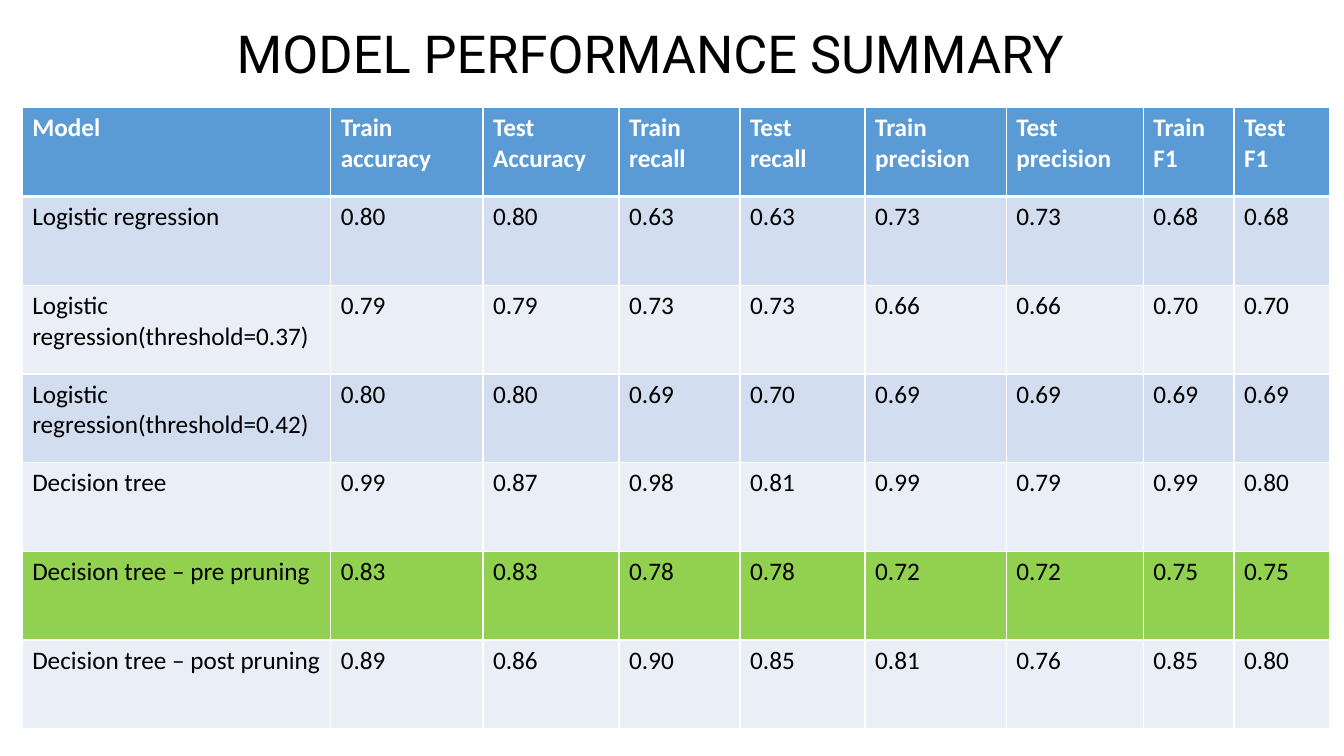
import pptx
import pptx.dml.color
import pptx.enum.text
import pptx.oxml
import pptx.oxml.ns
import pptx.util
from pptx.util import Inches

HEADER_FILL = "5B9BD5"
BAND_FILLS = ["D2DEEF", "EAEFF7"]
BEST_FILL = "92D050"
BEST_MODEL = "Decision tree – pre pruning"

HEADINGS = ["Model", "Train\naccuracy", "Test\nAccuracy", "Train\nrecall", "Test\nrecall",
            "Train\nprecision", "Test\nprecision", "Train\nF1", "Test\nF1"]
RESULTS = [
    ["Logistic regression", 0.80, 0.80, 0.63, 0.63, 0.73, 0.73, 0.68, 0.68],
    ["Logistic regression(threshold=0.37)", 0.79, 0.79, 0.73, 0.73, 0.66, 0.66, 0.70, 0.70],
    ["Logistic regression(threshold=0.42)", 0.80, 0.80, 0.69, 0.70, 0.69, 0.69, 0.69, 0.69],
    ["Decision tree", 0.99, 0.87, 0.98, 0.81, 0.99, 0.79, 0.99, 0.80],
    [BEST_MODEL, 0.83, 0.83, 0.78, 0.78, 0.72, 0.72, 0.75, 0.75],
    ["Decision tree – post pruning", 0.89, 0.86, 0.90, 0.85, 0.81, 0.76, 0.85, 0.80],
]
COLUMN_WIDTHS = [3.06, 1.51, 1.35, 1.2, 1.24, 1.4, 1.36, 0.9, 0.95]
ROW_HEIGHT = 0.88


def color(value):
    """Return the colour for a hex string."""
    return pptx.dml.color.RGBColor.from_string(value)


def write(frame, text, font="Calibri", size=18, fill="000000", bold=False, spacing=1.0):
    """Fill a text frame, one paragraph for each line of text."""
    frame.text = text
    for para in frame.paragraphs:
        para.line_spacing = spacing
        for span in para.runs:
            span.font.name = font
            span.font.size = pptx.util.Pt(size)
            span.font.bold = bold
            span.font.color.rgb = color(fill)


deck = pptx.Presentation()
deck.slide_width = Inches(13.33)
deck.slide_height = Inches(7.5)
page = deck.slides.add_slide(deck.slide_layouts[6])

# Results table
rows = [HEADINGS] + RESULTS
table = page.shapes.add_table(
    len(rows), len(HEADINGS), Inches(0.22), Inches(1.07),
    Inches(sum(COLUMN_WIDTHS)), Inches(ROW_HEIGHT * len(rows))).table
for column, width in zip(table.columns, COLUMN_WIDTHS):
    column.width = Inches(width)

for row_index, values in enumerate(rows):
    table.rows[row_index].height = Inches(ROW_HEIGHT)
    is_header = row_index == 0
    if is_header:
        row_fill = HEADER_FILL
    elif values[0] == BEST_MODEL:
        row_fill = BEST_FILL
    else:
        row_fill = BAND_FILLS[(row_index - 1) % 2]
    border_widths = {"lnL": 1, "lnR": 1, "lnT": 3 if row_index == 1 else 1,
                     "lnB": 3 if is_header else 1}

    for column_index, value in enumerate(values):
        cell = table.cell(row_index, column_index)
        text = value if isinstance(value, str) else f"{value:.2f}"
        write(cell.text_frame, text, bold=is_header,
              fill="FFFFFF" if is_header else "000000")
        cell.fill.solid()
        cell.fill.fore_color.rgb = color(row_fill)
        properties = cell._tc.get_or_add_tcPr()
        for position, (side, points) in enumerate(border_widths.items()):
            border = pptx.oxml.parse_xml(
                f'<a:{side} {pptx.oxml.ns.nsdecls("a")} w="{pptx.util.Pt(points)}">'
                f'<a:solidFill><a:srgbClr val="FFFFFF"/></a:solidFill></a:{side}>')
            properties.insert(position, border)

# Title
title = page.shapes.add_textbox(Inches(2.25), Inches(0.3), Inches(10.46), Inches(0.59))
title.text_frame.word_wrap = True
title.text_frame.vertical_anchor = pptx.enum.text.MSO_ANCHOR.MIDDLE
write(title.text_frame, "MODEL PERFORMANCE SUMMARY", font="Roboto", size=37.4, spacing=0.7)

deck.save("out.pptx")
